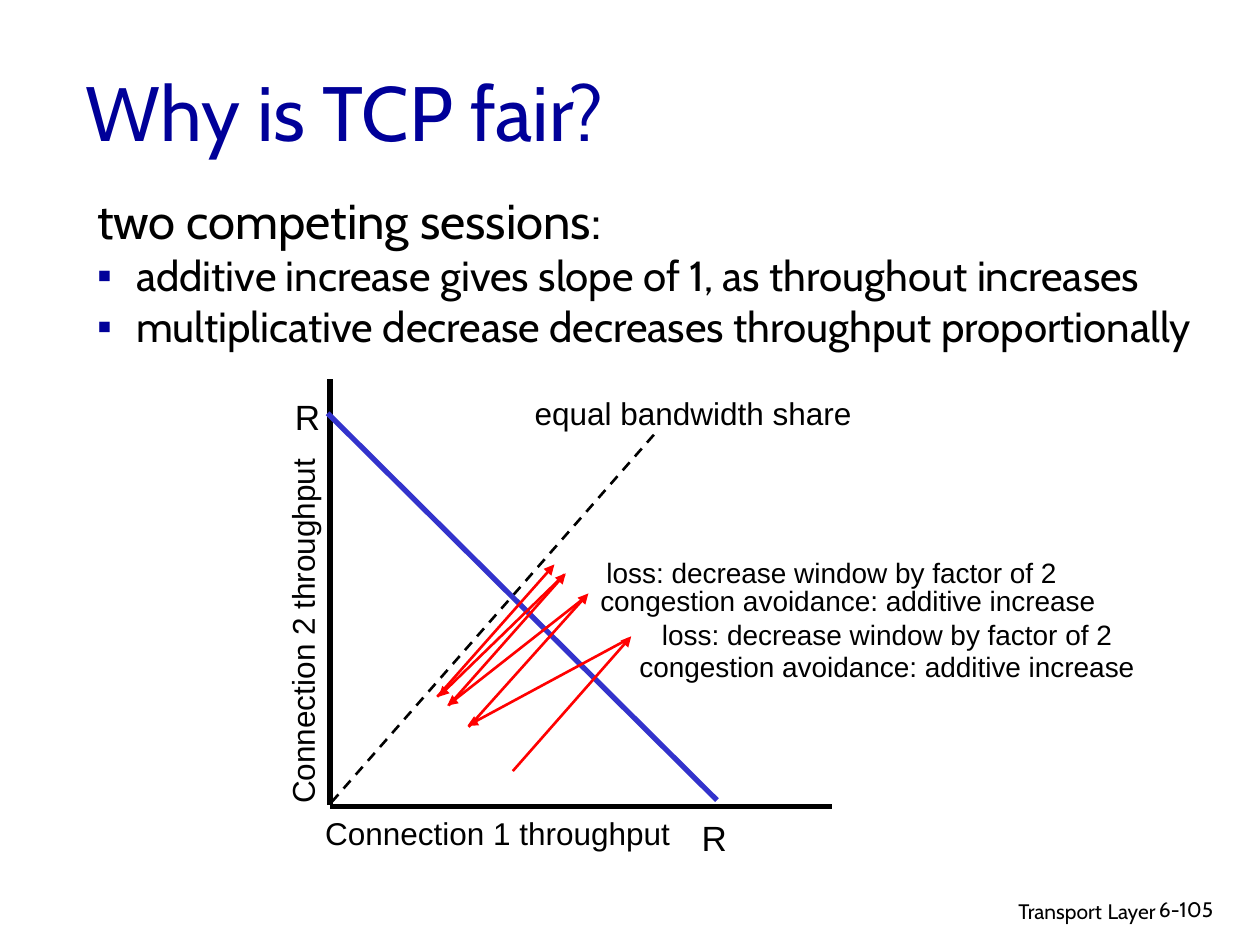
from lxml import etree
from pptx import Presentation
from pptx.dml.color import RGBColor
from pptx.enum.dml import MSO_LINE
from pptx.enum.shapes import MSO_CONNECTOR
from pptx.enum.text import MSO_ANCHOR, MSO_AUTO_SIZE, PP_ALIGN
from pptx.oxml.ns import qn
from pptx.util import Inches, Pt

LEFT, CENTER, RIGHT = PP_ALIGN.LEFT, PP_ALIGN.CENTER, PP_ALIGN.RIGHT
TOP, MIDDLE = MSO_ANCHOR.TOP, MSO_ANCHOR.MIDDLE
COLORS = {"navy": "000099", "black": "000000", "blue": "3333CC", "red": "FF0000"}

TITLE = "Why is TCP fair?"
# text, size, bulleted
BODY = [
    ("two competing sessions:", 28, False),
    ("additive increase gives slope of 1, as throughout increases", 24, True),
    ("multiplicative decrease decreases throughput proportionally", 24, True),
]

# start, end, colour, width, dashed
GRAPH_LINES = [
    ((2.62, 6.4), (6.6, 6.4), "black", 3, False),
    ((2.62, 6.39), (2.62, 3.01), "black", 3, False),
    ((5.19, 3.45), (2.62, 6.38), "black", 1.5, True),
    ((2.6, 3.28), (5.69, 6.35), "blue", 3, False),
]
# additive increases go up, halvings come back down: start, tip
WINDOW_STEPS = [
    ((4.07, 6.12), (5.01, 5.05)),
    ((4.99, 5.07), (3.71, 5.76)),
    ((3.72, 5.77), (4.67, 4.71)),
    ((4.62, 4.76), (3.55, 5.6)),
    ((3.56, 5.6), (4.49, 4.55)),
    ((4.48, 4.56), (3.48, 5.53)),
    ((3.47, 5.53), (4.4, 4.48)),
]

INCREASE = "congestion avoidance: additive increase"
LOSS = "loss: decrease window by factor of 2"
# text, left, top, width, height, size, rotation
GRAPH_LABELS = [
    ("R", 2.22, 3.09, 0.44, 0.43, 20, 0),
    ("R", 5.45, 6.43, 0.44, 0.43, 20, 0),
    ("equal bandwidth share", 3.56, 3.08, 3.88, 0.4, 18, 0),
    ("Connection 1 throughput", 2.01, 6.41, 3.88, 0.4, 18, 0),
    ("Connection 2 throughput", 0.46, 4.81, 3.88, 0.4, 18, 270),
    (INCREASE, 4.56, 5.11, 4.96, 0.37, 16, 0),
    (LOSS, 5.15, 4.85, 3.78, 0.37, 16, 0),
    (INCREASE, 4.25, 4.58, 4.96, 0.37, 16, 0),
    (LOSS, 4.71, 4.36, 3.78, 0.37, 16, 0),
]
# spans of text and size, left, top, width, height, alignment
FOOTERS = [
    ([("Transport", 12), (" ", 14), ("Layer", 12)], 6.1, 7.05, 3.17, 0.31, RIGHT),
    ([("6-105", 12)], 9.1, 7.07, 0.74, 0.3, LEFT),
]


def rgb(name):
    return RGBColor.from_string(COLORS[name])


def place(shape, left, top, width, height):
    frame = {"left": left, "top": top, "width": width, "height": height}
    for name, value in frame.items():
        setattr(shape, name, Inches(value))


def add_span(para, text, size, font, color="black"):
    span = para.add_run()
    span.text = text
    for name, value in {"size": Pt(size), "name": font, "bold": False}.items():
        setattr(span.font, name, value)
    span.font.color.rgb = rgb(color)


def set_frame(frame, anchor=TOP):
    settings = {"word_wrap": True, "auto_size": MSO_AUTO_SIZE.NONE,
                "vertical_anchor": anchor}
    for name, value in settings.items():
        setattr(frame, name, value)


def set_bullet(para, bulleted):
    """Give the paragraph a hanging indent and a square bullet or none."""
    props = para._p.get_or_add_pPr()
    props.set("marL", str(Inches(0.31)))
    props.set("indent", str(-Inches(0.31)))
    if not bulleted:
        etree.SubElement(props, qn("a:buNone"))
        return
    color = etree.SubElement(props, qn("a:buClr"))
    etree.SubElement(color, qn("a:srgbClr"), val=COLORS["navy"])
    etree.SubElement(props, qn("a:buFont"), typeface="Arial")
    etree.SubElement(props, qn("a:buChar"), char="▪")


def add_text(page, spans, frame, align, font, rotation=0):
    box = page.shapes.add_textbox(0, 0, 0, 0)
    place(box, *frame)
    box.rotation = rotation
    set_frame(box.text_frame)
    para = box.text_frame.paragraphs[0]
    para.alignment = align
    for text, size in spans:
        add_span(para, text, size, font)


def add_line(page, start, end, color, width, dashed=False, arrow=False):
    ends = [Inches(value) for value in (*start, *end)]
    connector = page.shapes.add_connector(MSO_CONNECTOR.STRAIGHT, *ends)
    line = connector.line
    line.color.rgb = rgb(color)
    line.width = Pt(width)
    if dashed:
        line.dash_style = MSO_LINE.DASH
    props = connector._element.spPr
    if arrow:
        etree.SubElement(props.find(qn("a:ln")), qn("a:tailEnd"), type="triangle")
    etree.SubElement(props, qn("a:effectLst"))


def add_heading(page):
    title = page.shapes.title
    place(title, 0.58, 0.25, 8.5, 1.25)
    set_frame(title.text_frame, MIDDLE)
    para = title.text_frame.paragraphs[0]
    para.alignment = LEFT
    add_span(para, TITLE, 44, "Cabin", "navy")


def add_body(page):
    body = page.placeholders[1]
    place(body, 0.67, 1.53, 9.08, 5.08)
    frame = body.text_frame
    set_frame(frame)
    for index, (text, size, bulleted) in enumerate(BODY):
        para = frame.add_paragraph() if index else frame.paragraphs[0]
        set_bullet(para, bulleted)
        para.line_spacing = 0.85
        para.space_before = Pt(size * 0.2 if index else 0)
        add_span(para, text, size, "Cabin")


def main():
    deck = Presentation()
    deck.slide_width, deck.slide_height = Inches(10), Inches(7.5)
    page = deck.slides.add_slide(deck.slide_layouts[1])
    add_heading(page)
    add_body(page)
    for line in GRAPH_LINES:
        add_line(page, *line)
    for text, *frame, size, rotation in GRAPH_LABELS:
        add_text(page, [(text, size)], frame, CENTER, "Arial", rotation)
    for start, tip in WINDOW_STEPS:
        add_line(page, start, tip, "red", 1.5, arrow=True)
    for spans, *frame, align in FOOTERS:
        add_text(page, spans, frame, align, "Cabin")
    deck.save("out.pptx")


if __name__ == "__main__":
    main()
